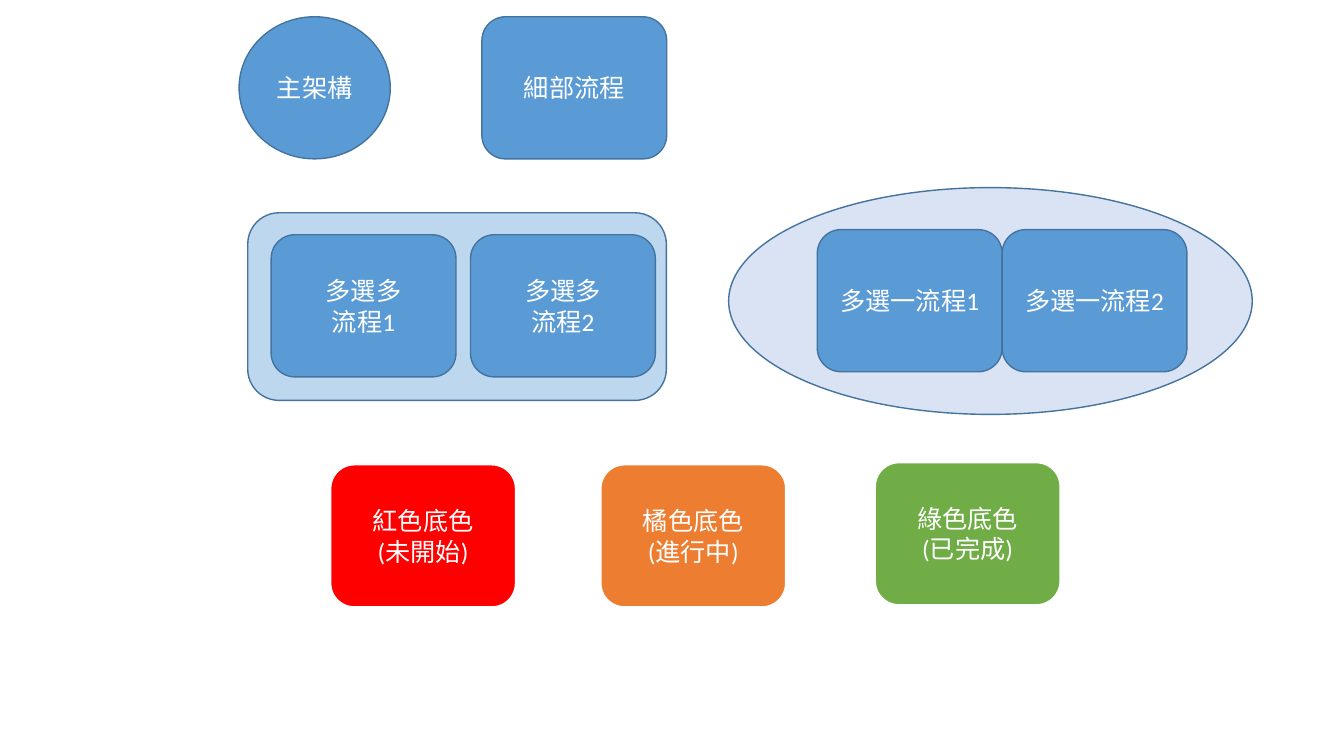
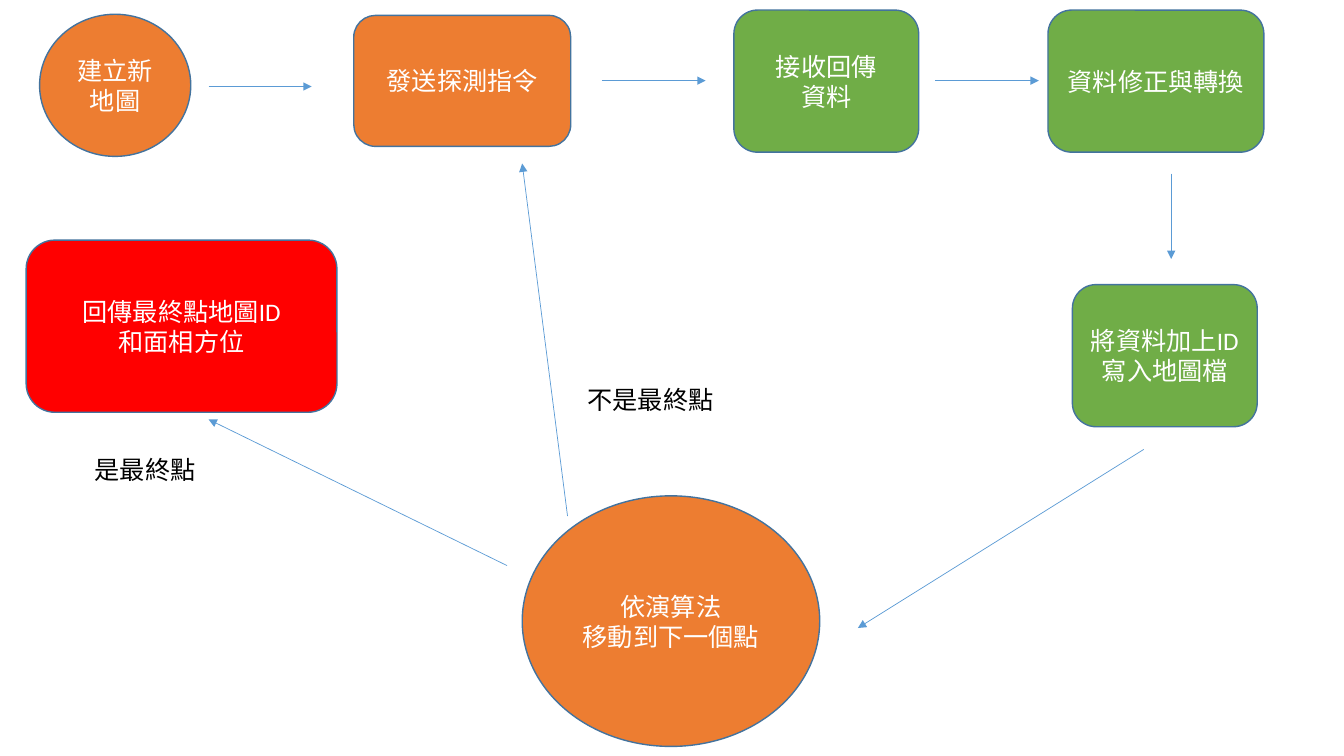
from lxml import etree
from pptx import Presentation
from pptx.dml.color import RGBColor
from pptx.enum.shapes import MSO_CONNECTOR, MSO_SHAPE
from pptx.enum.text import MSO_ANCHOR, MSO_AUTO_SIZE, PP_ALIGN
from pptx.oxml.ns import qn
from pptx.util import Pt

OVAL = MSO_SHAPE.OVAL
ROUND = MSO_SHAPE.ROUNDED_RECTANGLE
LINE = MSO_CONNECTOR.STRAIGHT
MIDDLE = MSO_ANCHOR.MIDDLE
FIT = MSO_AUTO_SIZE.SHAPE_TO_FIT_TEXT
LEFT, CENTER = PP_ALIGN.LEFT, PP_ALIGN.CENTER

COLORS = {
    "blue": "5B9BD5",
    "edge": "43739E",
    "sky": "BDD7EE",
    "mist": "DAE3F3",
    "red": "FF0000",
    "orange": "ED7D31",
    "green": "70AD47",
    "white": "FFFFFF",
    "black": "000000",
}
WIDE, HIGH, ROUND_W = 132, 101.5, 108


def color(name):
    return RGBColor.from_string(COLORS[name])


def write(frame, text, size=18, font="Calibri", ink="white", align=CENTER):
    frame.text = text
    for para in frame.paragraphs:
        para.alignment = align
        for run in para.runs:
            run.font.size = Pt(size)
            run.font.name = font
            run.font.color.rgb = color(ink)


class Chart:
    def __init__(self):
        self.deck = Presentation()
        self.deck.slide_width = Pt(960)
        self.deck.slide_height = Pt(540)
        self.slide = None

    def page(self):
        blank = self.deck.slide_layouts[6]
        self.slide = self.deck.slides.add_slide(blank)

    def node(self, text, x, y, w=WIDE, h=HIGH, kind=ROUND, fill="blue", edge="edge"):
        shape = self.slide.shapes.add_shape(kind, Pt(x), Pt(y), Pt(w), Pt(h))
        shape.shadow.inherit = False
        shape.fill.solid()
        shape.fill.fore_color.rgb = color(fill)
        shape.line.color.rgb = color(edge)
        shape.line.width = Pt(1)
        frame = shape.text_frame
        frame.word_wrap = True
        frame.vertical_anchor = MIDDLE
        if text:
            write(frame, text)

    def label(self, text, x, y, w, h=29):
        box = self.slide.shapes.add_textbox(Pt(x), Pt(y), Pt(w), Pt(h))
        box.text_frame.word_wrap = False
        box.text_frame.auto_size = FIT
        write(box.text_frame, text, ink="black", align=LEFT)

    def arrow(self, x, y, to_x, to_y):
        line = self.slide.shapes.add_connector(LINE, Pt(x), Pt(y), Pt(to_x), Pt(to_y))
        line.line.color.rgb = color("blue")
        line.line.width = Pt(0.5)
        stroke = line.line._get_or_add_ln()
        etree.SubElement(stroke, qn("a:tailEnd"), type="triangle")
        etree.SubElement(line._element.spPr, qn("a:effectLst"))


def legend(chart):
    chart.page()
    chart.node("主架構", 170.8, 12, w=ROUND_W, kind=OVAL)
    chart.node("細部流程", 344.2, 12)
    states = [
        ("紅色底色\n(未開始)", 236.2, 332, "red"),
        ("橘色底色\v(進行中)", 429.2, 332, "orange"),
        ("綠色底色\n(已完成)", 625.2, 330.5, "green"),
    ]
    for text, x, y, fill in states:
        chart.node(text, x, y, fill=fill, edge="white")
    chart.node("", 177, 152, 299, 134, fill="sky")
    chart.node("", 520.5, 134, 374, 162, kind=OVAL, fill="mist")
    groups = [("多選多\v流程", 193.7, 167.7, 142.4), ("多選一流程", 583.8, 164, WIDE)]
    for text, x, y, step in groups:
        for i in range(2):
            chart.node(f"{text}{i + 1}", x + i * step, y)


def flow(chart):
    chart.page()
    chart.node("建立新地圖", 28.3, 10.2, w=ROUND_W, kind=OVAL, fill="orange")
    chart.node("發送探測指令", 252.7, 11, 155, 93.6, fill="orange")
    chart.node("接收回傳\n資料", 524.2, 7.2, fill="green")
    chart.node("資料修正與轉換", 748.6, 7.2, w=154.2, fill="green")
    chart.node("將資料加上ID\v寫入地圖檔", 766, 203.3, fill="green")
    chart.node("依演算法\v移動到下一個點", 373, 354.2, 212.5, 179, kind=OVAL, fill="orange")
    chart.node("回傳最終點地圖ID\n和面相方位", 18.7, 171.5, 222, 123, fill="red")
    chart.label("不是最終點", 412.6, 270.7, 105)
    chart.label("是最終點", 60.5, 321, 87)
    arrows = [
        (149, 61.8, 222.6, 61.8),
        (430, 57.6, 504, 57.6),
        (668, 57.6, 742, 57.6),
        (836.6, 124, 836.6, 185),
        (817, 321, 612.8, 448.6),
        (362.2, 404, 149, 299.6),
        (405.4, 368.6, 373, 116.8),
    ]
    for ends in arrows:
        chart.arrow(*ends)


chart = Chart()
legend(chart)
flow(chart)
chart.deck.save("out.pptx")
